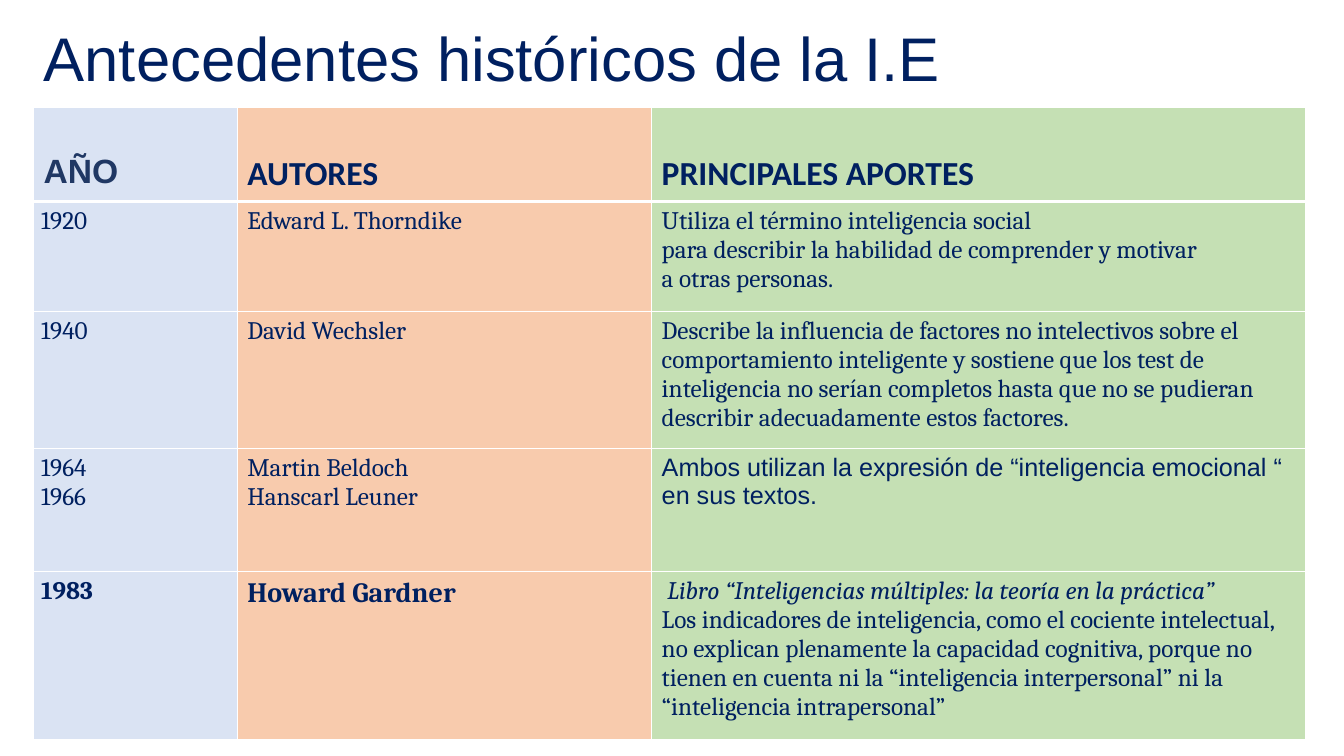
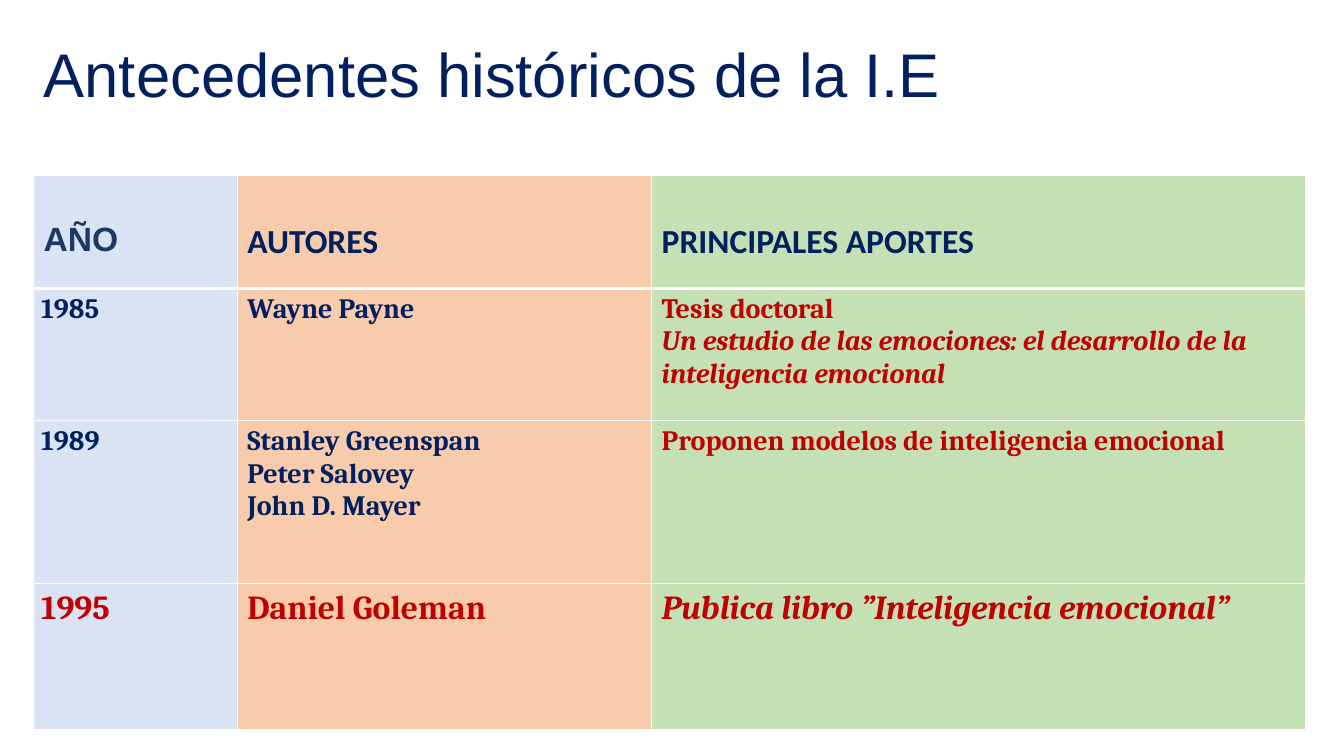
from dataclasses import dataclass
from functools import partial

from lxml import etree
from pptx import Presentation
from pptx.dml.color import RGBColor
from pptx.enum import text
from pptx.oxml import ns
from pptx.util import Pt

NAVY, SLATE, RED, WHITE = "002060", "203864", "C00000", "FFFFFF"
FILLS = ["DAE3F3", "F8CBAD", "C5E0B4"]
COLUMNS = [145.5, 296, 467]
LEFT = 24
TITLE = "Antecedentes históricos de la I.E"


@dataclass
class Line:
    words: str
    size: int = 18
    font: str = "Cambria"
    color: str = NAVY
    bold: bool = False
    italic: bool = False


Strong = partial(Line, size=20, bold=True)
Head = partial(Line, size=24, font="Calibri", bold=True)
Final = partial(Line, size=24, color=RED, bold=True)

HEADER = [
    [Head("AÑO", font="Arial", color=SLATE)],
    [Head("AUTORES")],
    [Head("PRINCIPALES APORTES")],
]

EARLY = [
    [
        [Line("1920")],
        [Line("Edward L. Thorndike")],
        [
            Line("Utiliza el término inteligencia social"),
            Line("para describir la habilidad de comprender y motivar"),
            Line("a otras personas."),
        ],
    ],
    [
        [Line("1940")],
        [Line("David Wechsler")],
        [
            Line("Describe la influencia de factores no intelectivos sobre el "
                 "comportamiento inteligente y sostiene que los test de"),
            Line("inteligencia no serían completos hasta que no se pudieran "
                 "describir adecuadamente estos factores."),
        ],
    ],
    [
        [Line("1964"), Line("1966")],
        [Line("Martin Beldoch"), Line("Hanscarl Leuner")],
        [Line("Ambos utilizan la expresión de “inteligencia emocional “ "
              "en sus textos.", font="Arial")],
    ],
    [
        [Line("1983", bold=True)],
        [Strong("Howard Gardner")],
        [
            Line(" Libro “Inteligencias múltiples: la teoría en la práctica”",
                 italic=True),
            Line("Los indicadores de inteligencia, como el cociente intelectual, "
                 "no explican plenamente la capacidad cognitiva, porque no "
                 "tienen en cuenta ni la “inteligencia interpersonal” ni la "
                 "“inteligencia intrapersonal”"),
        ],
    ],
]

LATE = [
    [
        [Strong("1985")],
        [Strong("Wayne Payne")],
        [
            Strong("Tesis doctoral", color=RED),
            Strong("Un estudio de las emociones: el desarrollo de la "
                   "inteligencia emocional", color=RED, italic=True),
        ],
    ],
    [
        [Strong("1989")],
        [Strong("Stanley Greenspan"), Strong("Peter Salovey"),
         Strong("John D. Mayer")],
        [Strong("Proponen modelos de inteligencia emocional", color=RED)],
    ],
    [
        [Final("1995")],
        [Final("Daniel Goleman")],
        [Final("Publica libro ”Inteligencia emocional”", italic=True)],
    ],
]


def rgb(code):
    return RGBColor.from_string(code)


class Deck:
    def __init__(self):
        self.prs = Presentation()
        self.prs.slide_width, self.prs.slide_height = Pt(960), Pt(540)
        self.s = None

    def slide(self):
        self.s = self.prs.slides.add_slide(self.prs.slide_layouts[5])

    def line(self, p, line):
        p.add_run().text = line.words
        p.font.size = Pt(line.size)
        p.font.name = line.font
        p.font.bold = line.bold
        p.font.italic = line.italic
        p.font.color.rgb = rgb(line.color)

    def title(self, words, height):
        sp = self.s.shapes.title
        sp.left, sp.top, sp.width, sp.height = Pt(LEFT), Pt(12), Pt(919), Pt(height)
        tf = sp.text_frame
        tf.auto_size = text.MSO_AUTO_SIZE.NONE
        tf.vertical_anchor = text.MSO_ANCHOR.MIDDLE
        p = tf.paragraphs[0]
        p.alignment = text.PP_ALIGN.LEFT
        p.line_spacing = 0.9
        self.line(p, Line(words, size=44, font="Arial"))

    def borders(self, cell, top, bottom):
        tc_pr = cell._tc.get_or_add_tcPr()
        for side, width in (("L", 1), ("R", 1), ("T", top), ("B", bottom)):
            ln = etree.SubElement(tc_pr, ns.qn(f"a:ln{side}"), w=str(Pt(width)))
            fill = etree.SubElement(ln, ns.qn("a:solidFill"))
            etree.SubElement(fill, ns.qn("a:srgbClr"), val=WHITE)

    def cell(self, cell, lines, row, col):
        self.borders(cell, 3 if row == 1 else 1, 3 if row == 0 else 1)
        cell.fill.solid()
        cell.fill.fore_color.rgb = rgb(FILLS[col])
        if row == 0:
            cell.margin_top = Pt(33)
        elif col == 0:
            cell.margin_left = Pt(5.4)
        tf = cell.text_frame
        for i, line in enumerate(lines):
            self.line(tf.add_paragraph() if i else tf.paragraphs[0], line)

    def table(self, top, heights, body):
        rows = [HEADER, *body]
        table = self.s.shapes.add_table(
            len(rows), len(COLUMNS), Pt(LEFT), Pt(top),
            Pt(sum(COLUMNS)), Pt(sum(heights))).table
        table.horz_banding = False
        for column, width in zip(table.columns, COLUMNS):
            column.width = Pt(width)
        for r, (height, cells) in enumerate(zip(heights, rows)):
            table.rows[r].height = Pt(height)
            for c, lines in enumerate(cells):
                self.cell(table.cell(r, c), lines, r, c)


def main():
    deck = Deck()
    for title_height, top, heights, body in (
        (64, 76.5, [67.5, 78.5, 98, 88, 120], EARLY),
        (87, 125, [81, 94.5, 116.5, 104.5], LATE),
    ):
        deck.slide()
        deck.title(TITLE, title_height)
        deck.table(top, heights, body)
    deck.prs.save("out.pptx")


if __name__ == "__main__":
    main()
